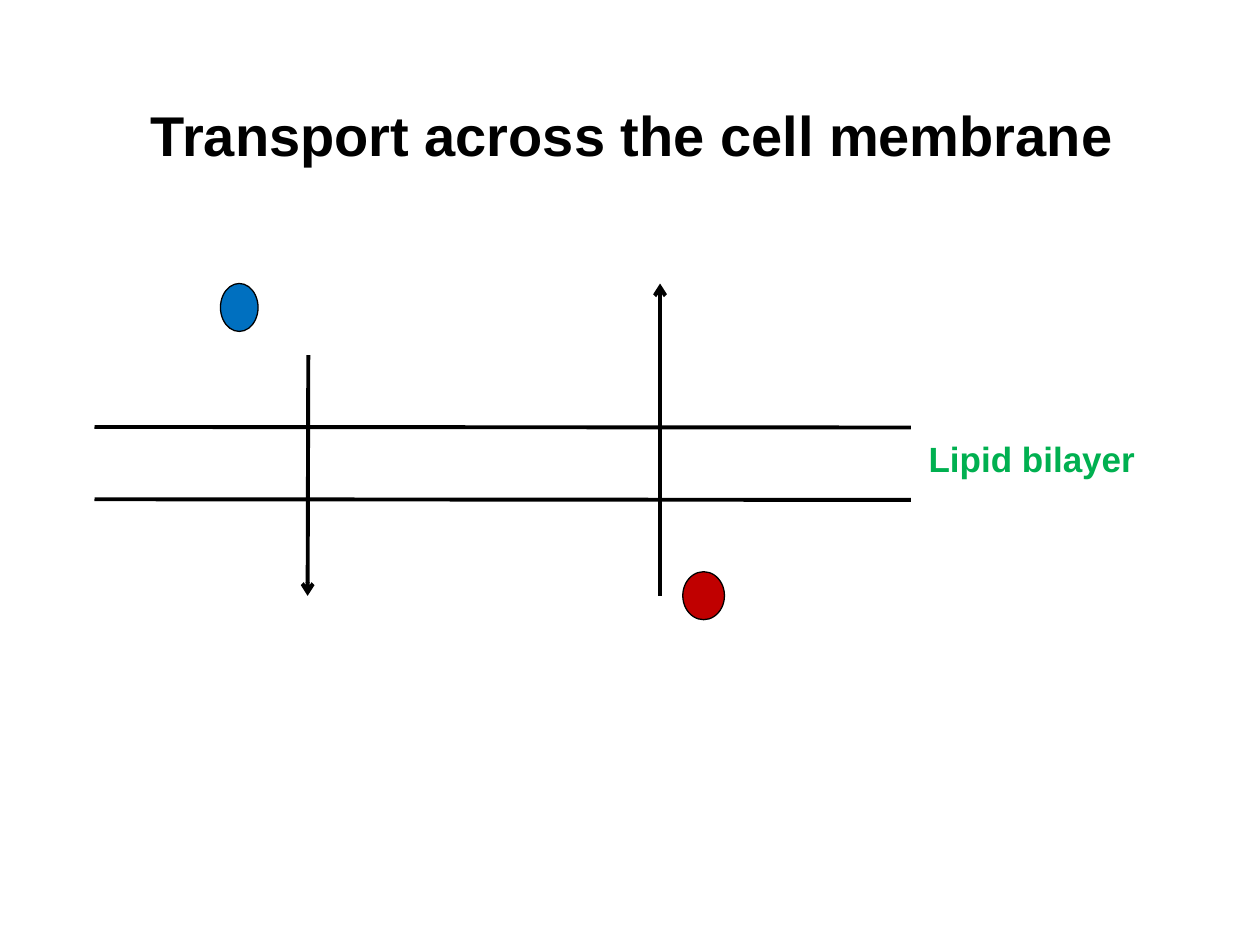
from dataclasses import dataclass

from lxml.etree import SubElement
from pptx import Presentation
from pptx.dml.color import RGBColor
from pptx.enum.shapes import MSO_CONNECTOR, MSO_SHAPE
from pptx.enum.text import MSO_AUTO_SIZE
from pptx.oxml.ns import qn
from pptx.util import Pt

BLACK = "000000"


@dataclass
class Line:
    x1: float
    y1: float
    x2: float
    y2: float
    arrow: bool = False


@dataclass
class Molecule:
    left: float
    top: float
    width: float
    height: float
    fill: str


@dataclass
class Label:
    text: str
    left: float
    top: float
    width: float
    height: float
    size: float
    color: str


MEMBRANE = [Line(54, 244, 520.5, 244.3), Line(54, 285.3, 520.5, 285.7)]
TRANSPORT = [
    Line(176.2, 203, 175.8, 340.5, arrow=True),
    Line(377.2, 340.5, 377.2, 162, arrow=True),
]
MOLECULES = [
    Molecule(126, 162, 21.5, 27.4, "0070C0"),
    Molecule(390.2, 326.7, 23.8, 27.4, "C00000"),
]
TITLE = Label("Transport across the cell membrane", 79.2, 54, 565.9, 46, 32, BLACK)
BILAYER = Label("Lipid bilayer", 523.6, 246.5, 132.5, 31.5, 20, "00B050")


def rgb(color: str) -> RGBColor:
    return RGBColor.from_string(color)


def add_line(s, line: Line) -> None:
    ends = (Pt(v) for v in (line.x1, line.y1, line.x2, line.y2))
    cxn = s.shapes.add_connector(MSO_CONNECTOR.STRAIGHT, *ends)
    cxn.line.color.rgb = rgb(BLACK)
    cxn.line.width = Pt(2.25)
    if line.arrow:
        SubElement(cxn.line._get_or_add_ln(), qn("a:tailEnd"), type="arrow")
    SubElement(cxn._element.spPr, qn("a:effectLst"))


def add_molecule(s, m: Molecule) -> None:
    sp = s.shapes.add_shape(
        MSO_SHAPE.OVAL, Pt(m.left), Pt(m.top), Pt(m.width), Pt(m.height)
    )
    sp.shadow.inherit = False
    sp.fill.solid()
    sp.fill.fore_color.rgb = rgb(m.fill)
    sp.line.color.rgb = rgb(BLACK)
    sp.line.width = Pt(0.75)


def add_label(s, label: Label) -> None:
    sp = s.shapes.add_textbox(
        Pt(label.left), Pt(label.top), Pt(label.width), Pt(label.height)
    )
    tf = sp.text_frame
    tf.word_wrap = False
    tf.auto_size = MSO_AUTO_SIZE.SHAPE_TO_FIT_TEXT
    r = tf.paragraphs[0].add_run()
    r.text = label.text
    r.font.name = "Arial"
    r.font.size = Pt(label.size)
    r.font.bold = True
    r.font.color.rgb = rgb(label.color)


def main() -> None:
    prs = Presentation()
    prs.slide_width, prs.slide_height = Pt(720), Pt(540)
    s = prs.slides.add_slide(prs.slide_layouts[6])
    add_label(s, TITLE)
    for line in MEMBRANE + TRANSPORT:
        add_line(s, line)
    for molecule in MOLECULES:
        add_molecule(s, molecule)
    add_label(s, BILAYER)
    prs.save("out.pptx")


if __name__ == "__main__":
    main()
